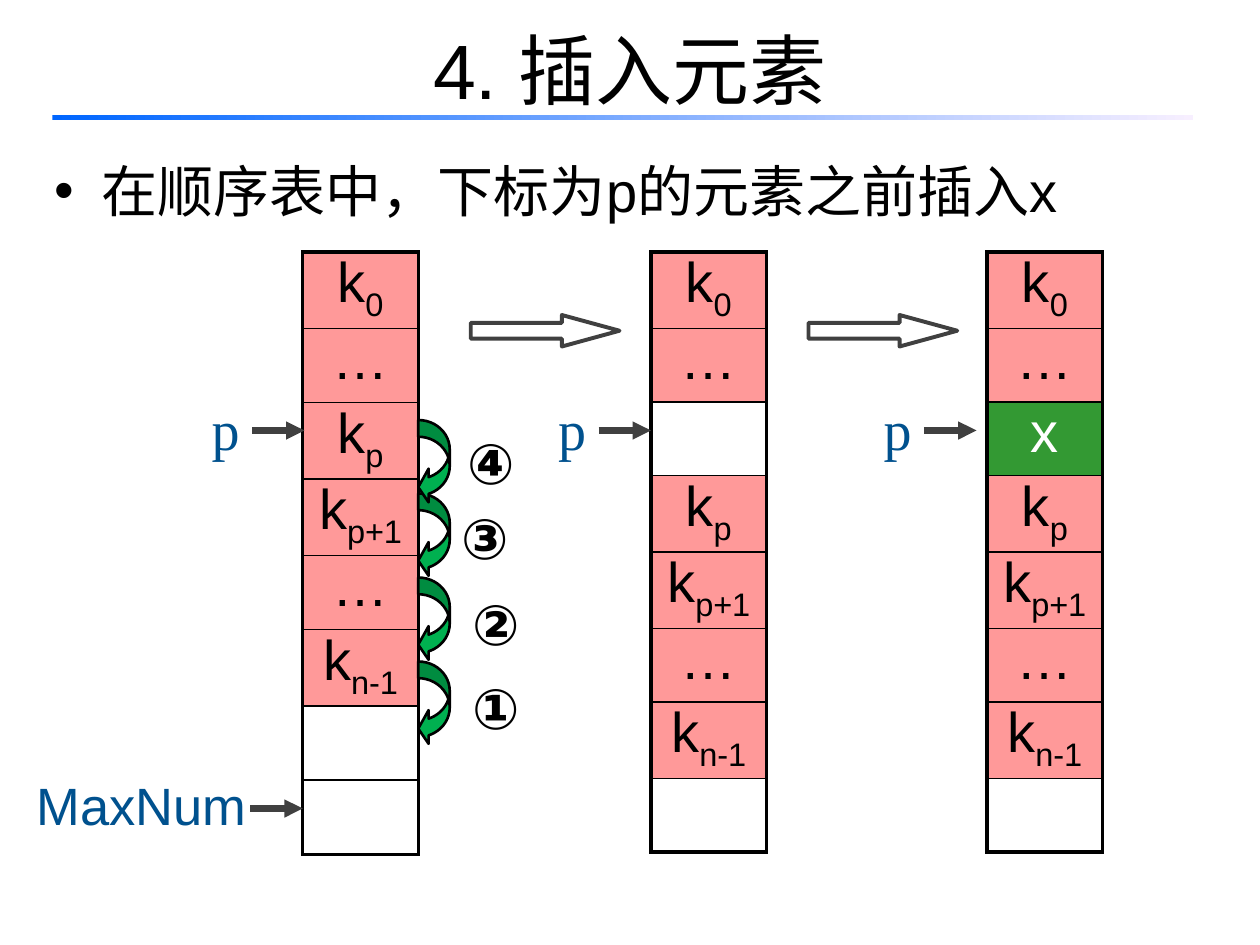
from lxml import etree
from pptx import Presentation
from pptx.dml.color import RGBColor
from pptx.enum import shapes, text
from pptx.oxml import ns
from pptx.util import Pt

BLACK, WHITE = RGBColor(0, 0, 0), RGBColor(255, 255, 255)
PINK, GREEN = RGBColor(0xFF, 0x99, 0x99), RGBColor(0x33, 0x99, 0x33)
CURVE_GREEN = RGBColor(0, 0xB0, 0x50)
NAVY, GREY = RGBColor(0, 0x51, 0x8E), RGBColor(0x40, 0x40, 0x40)
BAR_START, BAR_END = RGBColor(0, 0x66, 0xFF), RGBColor(0xF7, 0xEF, 0xFF)

TITLE = "4. 插入元素"
STATEMENT = "在顺序表中，下标为p的元素之前插入x"

# Cells are (base, subscript, fill, text colour)
K0, KP, KP1, KN = [("k", sub, PINK, BLACK) for sub in ("0", "p", "p+1", "n-1")]
DOTS = ("…", "", PINK, BLACK)
FREE = ("", "", None, BLACK)
GAP = ("", "", WHITE, BLACK)
NEW = ("x", "", GREEN, WHITE)
SHIFTED_ROWS = [43.5, 42, 42, 43.5, 43.5, 42, 43.5, 42]
ARRAYS = [  # left, row heights, cells
    (173, [40.5] + [42.3] * 7, [K0, DOTS, KP, KP1, DOTS, KN, FREE, FREE]),
    (372, SHIFTED_ROWS, [K0, DOTS, GAP, KP, KP1, DOTS, KN, FREE]),
    (564, SHIFTED_ROWS, [K0, DOTS, NEW, KP, KP1, DOTS, KN, FREE]),
]
ARRAY_TOP, ARRAY_WIDTH = 144, 66
MOVES = [  # move number, its left and top, top of its curved arrow
    ("①", 270, 385, 378), ("②", 270, 337, 330),
    ("③", 264, 288, 282), ("④", 267, 245, 240),
]
INDEX_LEFTS = [90, 288, 474]
STEP_LEFTS = [269, 462]


def add_run(p, words, size, color, font="Arial", bold=False):
    r = p.add_run()
    r.text = words
    r.font.size, r.font.name, r.font.bold = Pt(size), font, bold
    r.font.color.rgb = color
    return r


def add_text(s, box, words, size, color, font="Arial", bold=False, tight=False):
    """Centred label; a tight one has no insets and does not wrap."""
    tf = s.shapes.add_textbox(*map(Pt, box)).text_frame
    tf.word_wrap = not tight
    if tight:
        tf.margin_left = tf.margin_right = tf.margin_top = tf.margin_bottom = 0
    p = tf.paragraphs[0]
    p.alignment = text.PP_ALIGN.LEFT if tight else text.PP_ALIGN.CENTER
    add_run(p, words, size, color, font, bold)
    return p


def add_shape(s, kind, box, adjustments=()):
    sp = s.shapes.add_shape(kind, *map(Pt, box))
    sp.shadow.inherit = False
    for i, value in enumerate(adjustments):
        sp.adjustments[i] = value
    return sp


def add_pointer(s, x, y):
    line = s.shapes.add_connector(shapes.MSO_CONNECTOR.STRAIGHT,
                                  Pt(x), Pt(y), Pt(x + 30), Pt(y))
    line.line.color.rgb, line.line.width = GREY, Pt(3.5)
    etree.SubElement(line.line._get_or_add_ln(), ns.qn("a:tailEnd"), type="triangle")
    etree.SubElement(line._element.spPr, ns.qn("a:effectLst"))


def set_borders(cell, widths):
    """Black borders; widths maps L, R, T, B to points."""
    tcPr = cell._tc.get_or_add_tcPr()
    for side, width in widths.items():
        ln = etree.SubElement(tcPr, ns.qn("a:ln" + side), w=str(Pt(width)))
        fill = etree.SubElement(ln, ns.qn("a:solidFill"))
        etree.SubElement(fill, ns.qn("a:srgbClr"), val=str(BLACK))


def add_array(s, left, heights, cells):
    frame = s.shapes.add_table(len(cells), 1, Pt(left), Pt(ARRAY_TOP),
                               Pt(ARRAY_WIDTH), Pt(sum(heights)))
    table = frame.table
    table.first_row = table.horz_banding = False
    last = len(cells) - 1
    for i, (base, sub, fill, color) in enumerate(cells):
        table.rows[i].height = Pt(heights[i])
        cell = table.cell(i, 0)
        cell.margin_left = cell.margin_right = cell.margin_top = cell.margin_bottom = 0
        set_borders(cell, {"L": 2.25, "R": 2.25, "T": 1 if i else 2.25,
                           "B": 1 if i < last else 2.25})
        if fill is None:
            cell.fill.background()
        else:
            cell.fill.solid()
            cell.fill.fore_color.rgb = fill
        p = cell.text_frame.paragraphs[0]
        p.alignment = text.PP_ALIGN.CENTER
        if base:
            add_run(p, base, 32, color)
        if sub:
            r = add_run(p, sub, 32, color)
            r._r.get_or_add_rPr().set("baseline", "-25000")


def main():
    prs = Presentation()
    prs.slide_width, prs.slide_height = Pt(720), Pt(540)
    s = prs.slides.add_slide(prs.slide_layouts[5])

    title = s.shapes.title
    title.left, title.top, title.width, title.height = map(Pt, (36, -6, 648, 90))
    title.text_frame.vertical_anchor = text.MSO_ANCHOR.MIDDLE
    p = title.text_frame.paragraphs[0]
    p.alignment = text.PP_ALIGN.CENTER
    add_run(p, TITLE, 44, BLACK)

    bar = add_shape(s, shapes.MSO_SHAPE.RECTANGLE, (30, 65.5, 652, 3))
    bar.line.fill.background()
    bar.fill.gradient()
    bar.fill.gradient_angle = 0
    for stop, color, position in zip(bar.fill.gradient_stops, (BAR_START, BAR_END), (0, 1)):
        stop.color.rgb, stop.position = color, position

    p = add_text(s, (24, 78, 720, 48), STATEMENT, 32, BLACK)
    p.alignment, p.line_spacing = text.PP_ALIGN.LEFT, 1.2
    pPr = p._p.get_or_add_pPr()
    pPr.set("marL", str(Pt(27)))
    pPr.set("indent", str(-Pt(27)))
    etree.SubElement(pPr, ns.qn("a:buFont"), typeface="Arial")
    etree.SubElement(pPr, ns.qn("a:buChar"), char="•")

    for array in ARRAYS:
        add_array(s, *array)

    for number, left, top, arrow_top in MOVES:
        curve = add_shape(s, shapes.MSO_SHAPE.CURVED_LEFT_ARROW,
                          (239, arrow_top, 18, 48), (0.53, 1.07, 0.33))
        curve.fill.solid()
        curve.fill.fore_color.rgb = CURVE_GREEN
        curve.line.color.rgb, curve.line.width = BLACK, Pt(1.5)
        add_text(s, (left, top, 32, 39), number, 32, BLACK, bold=True, tight=True)

    for left in STEP_LEFTS:
        step = add_shape(s, shapes.MSO_SHAPE.RIGHT_ARROW, (left, 180, 85, 18), (0.5, 1.83))
        step.fill.background()
        step.line.color.rgb, step.line.width = GREY, Pt(2.25)

    for left in INDEX_LEFTS:
        add_text(s, (left, 222, 78, 46), "p", 32, NAVY, "Times New Roman")
        add_pointer(s, left + 54, 246)
    add_text(s, (12, 438, 138, 44), "MaxNum", 30, NAVY)
    add_pointer(s, 143, 462)

    prs.save("out.pptx")


if __name__ == "__main__":
    main()
